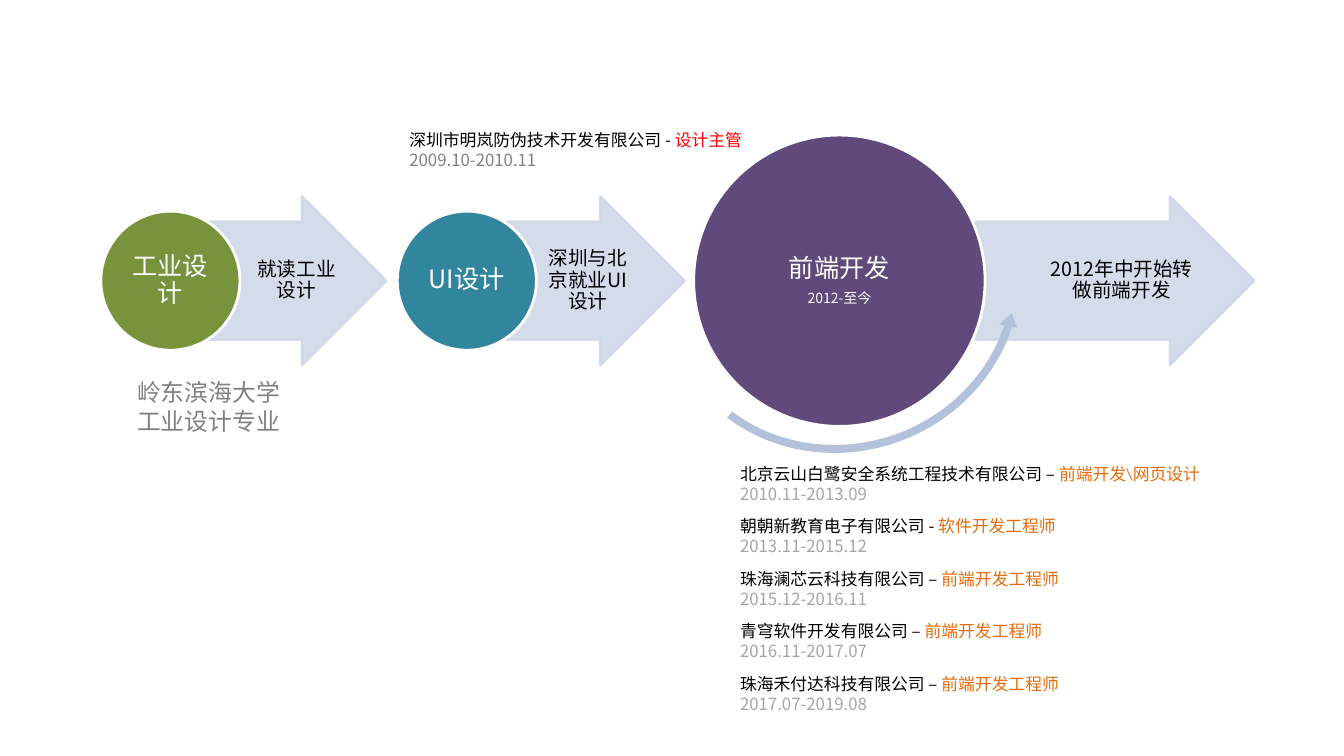
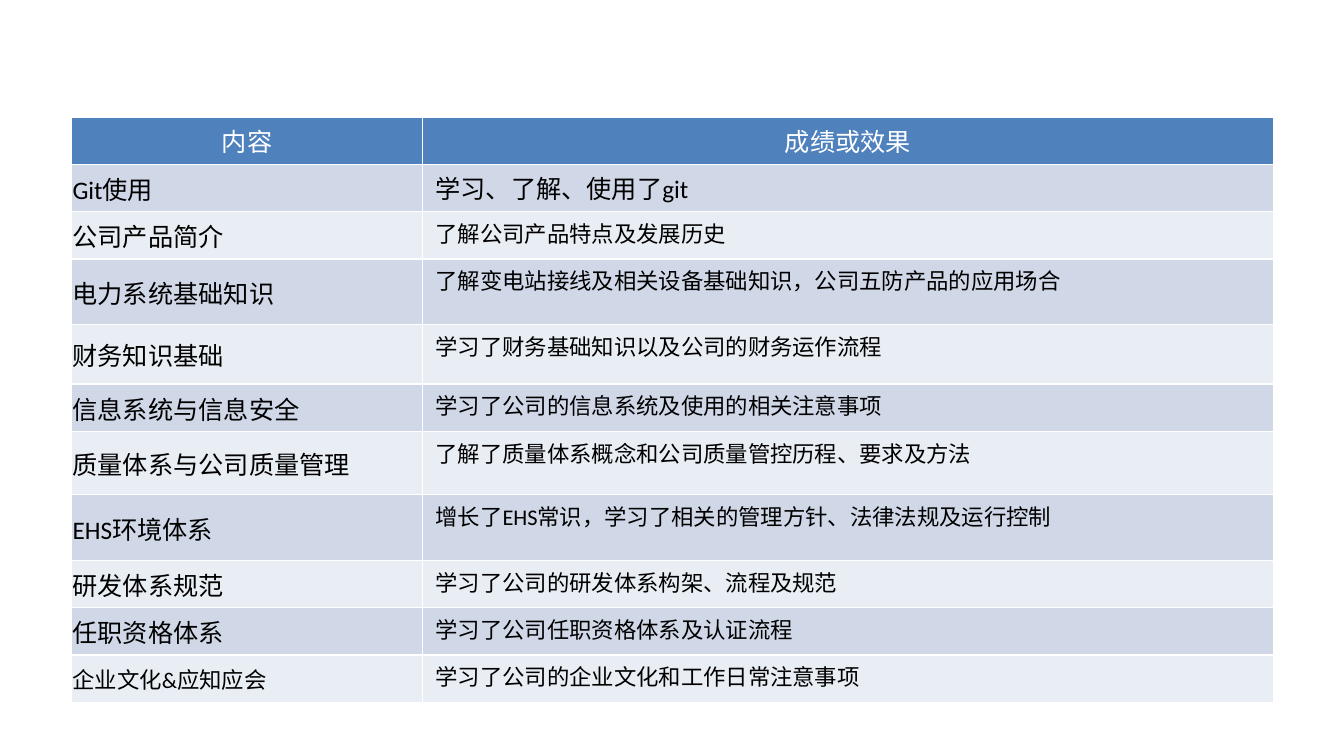
import pptx
import pptx.util
import pptx.dml.color
import pptx.enum.shapes
import pptx.enum.text
import pptx.oxml.ns
import lxml.etree

Inches = pptx.util.Inches
Pt = pptx.util.Pt
RGBColor = pptx.dml.color.RGBColor
Shape = pptx.enum.shapes.MSO_SHAPE
Align = pptx.enum.text.PP_ALIGN
Anchor = pptx.enum.text.MSO_ANCHOR
qn = pptx.oxml.ns.qn

WHITE = RGBColor(0xFF, 0xFF, 0xFF)
BLACK = RGBColor(0x00, 0x00, 0x00)
GRAY = RGBColor(0x80, 0x80, 0x80)
LIGHT_GRAY = RGBColor(0xA6, 0xA6, 0xA6)
RED = RGBColor(0xFF, 0x00, 0x00)
ORANGE = RGBColor(0xE4, 0x6C, 0x0A)
GREEN = RGBColor(0x77, 0x93, 0x3C)
TEAL = RGBColor(0x31, 0x85, 0x9C)
PURPLE = RGBColor(0x60, 0x4A, 0x7B)
PALE_BLUE = RGBColor(0xD0, 0xD8, 0xE8)
PALER_BLUE = RGBColor(0xE9, 0xED, 0xF4)
ARC_BLUE = RGBColor(0xB3, 0xC1, 0xDB)
HEADER_BLUE = RGBColor(0x4F, 0x81, 0xBD)

CJK = "Noto Sans CJK SC"
LATIN = "Calibri"


def write(para, text, size=12, color=BLACK, font=CJK, align=Align.LEFT, spacing=1.0):
    para.alignment = align
    para.line_spacing = spacing
    span = para.add_run()
    span.text = text
    span.font.size = Pt(size)
    span.font.bold = False
    span.font.name = font
    span.font.color.rgb = color
    east_asian = lxml.etree.SubElement(span.font._element, qn("a:ea"))
    east_asian.set("typeface", CJK)


def set_frame(box, left, top, right, bottom, anchor=Anchor.TOP):
    frame = box.text_frame
    frame.word_wrap = True
    frame.vertical_anchor = anchor
    frame.margin_left, frame.margin_top = Inches(left), Inches(top)
    frame.margin_right, frame.margin_bottom = Inches(right), Inches(bottom)
    return frame


deck = pptx.Presentation()
deck.slide_width = Inches(13.33)
deck.slide_height = Inches(7.5)
blank = deck.slide_layouts[6]

page = deck.slides.add_slide(blank)
MIDDLE = 2.785
ARROW_HEIGHT = 1.67
LABEL_HEIGHT = 1.17

stages = [
    (2.06, 1.77, 0.86, "就读工业设计", 1.0, 1.38, GREEN, [("工业设计", 18)]),
    (4.88, 1.91, 0.93, "深圳与北京就业UI设计", 3.94, 1.38, TEAL, [("UI设计", 18)]),
    (9.68, 2.76, 1.49, "2012年中开始转做前端开发", 6.88, 2.89, PURPLE,
     [("前端开发", 18), ("2012-至今", 10)]),
]
for arrow_left, arrow_width, label_width, label, circle_left, diameter, color, lines in stages:
    arrow = page.shapes.add_shape(
        Shape.RIGHT_ARROW, Inches(arrow_left), Inches(MIDDLE - ARROW_HEIGHT / 2),
        Inches(arrow_width), Inches(ARROW_HEIGHT))
    arrow.shadow.inherit = False
    arrow.adjustments[0] = 0.7
    arrow.adjustments[1] = 0.5
    arrow.fill.solid()
    arrow.fill.fore_color.rgb = PALE_BLUE
    arrow.line.color.rgb = PALE_BLUE
    arrow.line.width = Pt(2)
    for paint in arrow.element.spPr.iter(qn("a:srgbClr")):
        lxml.etree.SubElement(paint, qn("a:alpha")).set("val", "90000")

    box = page.shapes.add_textbox(
        Inches(arrow_left + arrow_width / 4), Inches(MIDDLE - LABEL_HEIGHT / 2),
        Inches(label_width), Inches(LABEL_HEIGHT))
    frame = set_frame(box, 0.04, 0.01, 0.02, 0.01, Anchor.MIDDLE)
    write(frame.paragraphs[0], label, size=14, align=Align.CENTER, spacing=0.9)

    circle = page.shapes.add_shape(
        Shape.OVAL, Inches(circle_left), Inches(MIDDLE - diameter / 2),
        Inches(diameter), Inches(diameter))
    circle.shadow.inherit = False
    circle.fill.solid()
    circle.fill.fore_color.rgb = color
    circle.line.color.rgb = WHITE
    circle.line.width = Pt(2)
    frame = set_frame(circle, 0.01, 0.01, 0.01, 0.01, Anchor.MIDDLE)
    for index, (text, size) in enumerate(lines):
        para = frame.add_paragraph() if index else frame.paragraphs[0]
        write(para, text, size=size, color=WHITE, align=Align.CENTER, spacing=0.9)
        if index < len(lines) - 1:
            para.space_after = Pt(6)

arc = page.shapes.add_shape(
    Shape.CIRCULAR_ARROW, Inches(6.52), Inches(1.1), Inches(3.66), Inches(3.43))
arc.shadow.inherit = False
for index, value in enumerate([2.3 / 100, 2.74, 195.51, 125.76, 2.6 / 100]):
    arc.adjustments[index] = value
arc.rotation = 340.2
arc.element.spPr.get_or_add_xfrm().set("flipV", "1")
arc.fill.solid()
arc.fill.fore_color.rgb = ARC_BLUE
arc.line.fill.background()

jobs = [
    ("北京云山白鹭安全系统工程技术有限公司 – ", "前端开发\\网页设计", "2010.11-2013.09"),
    ("朝朝新教育电子有限公司 - ", "软件开发工程师", "2013.11-2015.12"),
    ("珠海澜芯云科技有限公司 – ", "前端开发工程师", "2015.12-2016.11"),
    ("青穹软件开发有限公司 – ", "前端开发工程师", "2016.11-2017.07"),
    ("珠海禾付达科技有限公司 – ", "前端开发工程师", "2017.07-2019.08"),
]
notes = [
    (7.22, 4.54 + 0.52 * index, 5.93, 0.52, [
        [(company, 12, BLACK, CJK), (role, 12, ORANGE, LATIN)],
        [(period, 12, LIGHT_GRAY, CJK)],
    ])
    for index, (company, role, period) in enumerate(jobs)
]
notes.append((1.24, 3.69, 1.89, 0.69, [
    [("岭东滨海大学", 17, GRAY, CJK)],
    [("工业设计专业", 17, GRAY, CJK)],
]))
notes.append((3.94, 1.23, 3.61, 0.52, [
    [("深圳市明岚防伪技术开发有限公司 - ", 12, BLACK, CJK), ("设计主管", 12, RED, CJK)],
    [("2009.10-2010.11", 12, GRAY, CJK)],
]))
for left, top, width, height, lines in notes:
    box = page.shapes.add_textbox(Inches(left), Inches(top), Inches(width), Inches(height))
    frame = set_frame(box, 0.12, 0.06, 0.12, 0.06)
    frame.auto_size = pptx.enum.text.MSO_AUTO_SIZE.SHAPE_TO_FIT_TEXT
    for index, line in enumerate(lines):
        para = frame.add_paragraph() if index else frame.paragraphs[0]
        for text, size, color, font in line:
            write(para, text, size=size, color=color, font=font)

page = deck.slides.add_slide(blank)
rows = [
    (0.47, "内容", 18, "成绩或效果", 18),
    (0.47, "Git使用", 18, "学习、了解、使用了git", 18),
    (0.47, "公司产品简介", 18, "了解公司产品特点及发展历史", 16),
    (0.65, "电力系统基础知识", 18, "了解变电站接线及相关设备基础知识，公司五防产品的应用场合", 16),
    (0.59, "财务知识基础", 18, "学习了财务基础知识以及公司的财务运作流程", 16),
    (0.47, "信息系统与信息安全", 18, "学习了公司的信息系统及使用的相关注意事项", 16),
    (0.63, "质量体系与公司质量管理", 18, "了解了质量体系概念和公司质量管控历程、要求及方法", 16),
    (0.65, "EHS环境体系", 18, "增长了EHS常识，学习了相关的管理方针、法律法规及运行控制", 16),
    (0.47, "研发体系规范", 18, "学习了公司的研发体系构架、流程及规范", 16),
    (0.47, "任职资格体系", 18, "学习了公司任职资格体系及认证流程", 16),
    (0.47, "企业文化&应知应会", 16, "学习了公司的企业文化和工作日常注意事项", 16),
]
table = page.shapes.add_table(
    len(rows), 2, Inches(0.71), Inches(1.16), Inches(11.92),
    Inches(sum(row[0] for row in rows))).table
table.horz_banding = False
for column, width in zip(table.columns, (3.48, 8.44)):
    column.width = Inches(width)

for row_index, (height, topic, topic_size, result, result_size) in enumerate(rows):
    table.rows[row_index].height = Inches(height)
    is_header = row_index == 0
    band = HEADER_BLUE if is_header else (PALER_BLUE, PALE_BLUE)[row_index % 2]
    for column_index, (text, size) in enumerate([(topic, topic_size), (result, result_size)]):
        cell = table.cell(row_index, column_index)
        properties = cell._tc.get_or_add_tcPr()
        for side in ("a:lnL", "a:lnR", "a:lnT", "a:lnB"):
            border = lxml.etree.SubElement(properties, qn(side), w=str(Pt(1)))
            paint = lxml.etree.SubElement(border, qn("a:solidFill"))
            lxml.etree.SubElement(paint, qn("a:srgbClr"), val=str(WHITE))
        cell.fill.solid()
        cell.fill.fore_color.rgb = band
        is_topic = column_index == 0 and not is_header
        cell.vertical_anchor = Anchor.MIDDLE if is_topic else Anchor.TOP
        cell.margin_left = cell.margin_right = Inches(0.01 if is_topic else 0.13)
        cell.margin_top = Inches(0.01 if is_topic else 0.05)
        cell.margin_bottom = Inches(0 if is_topic else 0.05)
        write(cell.text_frame.paragraphs[0], text, size=size, font=LATIN,
              color=WHITE if is_header else BLACK,
              align=Align.CENTER if is_header else Align.LEFT)

deck.save("out.pptx")
